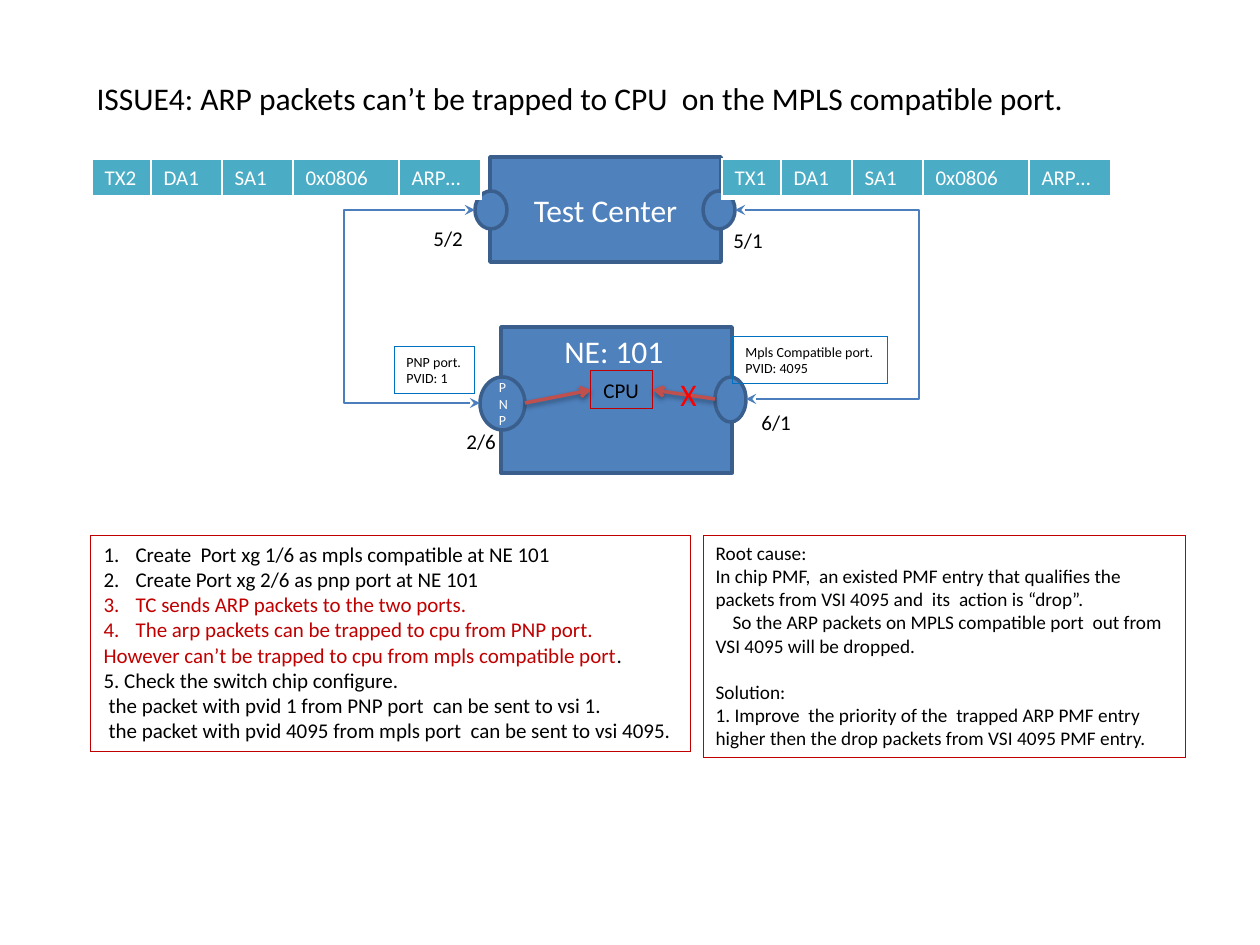
from dataclasses import dataclass

from lxml import etree
from pptx import Presentation
from pptx import util as u
from pptx.dml.color import RGBColor
from pptx.enum import shapes, text
from pptx.oxml.ns import qn

PX = 914400 / 126
FONT = "Calibri"
BLACK, WHITE, RED = "000000", "FFFFFF", "C00000"
BLUE, EDGE, WIRE, TEAL = "4F81BD", "3A5F8C", "4B7EBC", "4BACC6"
TRAP, NOTE = "C0504D", "0070C0"
COLUMNS = (59, 71, 71, 106, 82)


@dataclass
class Line:
    """One paragraph; left, first and before are px, px and points."""
    words: str
    colour: str = BLACK
    ending: str = ""
    numbered: bool = False
    left: int = 0
    first: int = 0
    before: float = 0


@dataclass
class Node:
    shape: shapes.MSO_SHAPE
    at: tuple
    words: str = ""
    size: int = 18


@dataclass
class Label:
    at: tuple
    words: tuple
    size: int = 12
    colour: str = BLACK
    edge: str = ""
    wrap: bool = False


def px(length: float) -> int:
    return u.Emu(round(length * PX))


def rgb(colour: str) -> RGBColor:
    return RGBColor.from_string(colour)


def child(parent, tag: str, **attributes):
    return etree.SubElement(parent, qn(tag), attributes)


def place(shape, at: tuple) -> None:
    shape.left, shape.top, shape.width, shape.height = map(px, at)


def outline(shape, colour: str, width: float = 0) -> None:
    """Colour the outline; without a width it keeps the default thin line."""
    shape.line.color.rgb = rgb(colour)
    if width:
        shape.line.width = u.Pt(width)


def write(frame, lines, size=12, align=text.PP_ALIGN.LEFT,
          anchor=text.MSO_ANCHOR.TOP, wrap=True, grow=False) -> None:
    frame.word_wrap = wrap
    frame.vertical_anchor = anchor
    frame.auto_size = (text.MSO_AUTO_SIZE.SHAPE_TO_FIT_TEXT if grow
                       else text.MSO_AUTO_SIZE.NONE)
    for index, line in enumerate(lines):
        para = frame.add_paragraph() if index else frame.paragraphs[0]
        para.alignment = align
        para.space_before = u.Pt(line.before)
        props = para._p.get_or_add_pPr()
        props.set("marL", str(px(line.left)))
        props.set("indent", str(px(line.first)))
        if line.numbered:
            child(props, "a:buFont", typeface="+mj-lt")
            child(props, "a:buAutoNum", type="arabicPeriod")
        else:
            child(props, "a:buNone")
        for words, colour in ((line.words, line.colour), (line.ending, BLACK)):
            if words:
                span = para.add_run()
                span.text = words
                span.font.name, span.font.size = FONT, u.Pt(size)
                span.font.bold = False
                span.font.color.rgb = rgb(colour)


def add_node(page, node: Node) -> None:
    shape = page.shapes.add_shape(node.shape, *map(px, node.at))
    shape.shadow.inherit = False
    shape.fill.solid()
    shape.fill.fore_color.rgb = rgb(BLUE)
    outline(shape, EDGE, 2)
    if node.words:
        write(shape.text_frame, [Line(node.words, WHITE)], size=node.size,
              align=text.PP_ALIGN.CENTER, anchor=text.MSO_ANCHOR.MIDDLE)


def add_label(page, label: Label) -> None:
    box = page.shapes.add_textbox(*map(px, label.at))
    if label.edge:
        outline(box, label.edge)
    write(box.text_frame, [Line(words, label.colour) for words in label.words],
          size=label.size, wrap=label.wrap, grow=True)


def add_arrow(page, kind, ends: tuple, colour: str, width: float):
    """Return the connector, its line properties and its empty effect list."""
    arrow = page.shapes.add_connector(kind, *map(px, ends))
    outline(arrow, colour, width)
    effects = child(arrow._element.spPr, "a:effectLst")
    return arrow, arrow.line._get_or_add_ln(), effects


def add_wire(page, ends: tuple, bend: int) -> None:
    """Draw a double-headed elbow whose upright lies at x = bend."""
    wire, line, _ = add_arrow(page, shapes.MSO_CONNECTOR.ELBOW, ends, WIRE, 1)
    share = round((bend - ends[0]) / (ends[2] - ends[0]) * 100000)
    guides = wire._element.spPr.find(qn("a:prstGeom")).get_or_add_avLst()
    child(guides, "a:gd", name="adj1", fmla=f"val {share}")
    child(line, "a:headEnd", type="stealth")
    child(line, "a:tailEnd", type="stealth")


def add_trap(page, ends: tuple) -> None:
    """Draw a shadowed arrow from a port to the CPU."""
    _, line, effects = add_arrow(page, shapes.MSO_CONNECTOR.STRAIGHT, ends, TRAP, 2)
    child(line, "a:tailEnd", type="arrow")
    shadow = child(effects, "a:outerShdw", blurRad=str(u.Pt(3.1)),
                   dist=str(u.Pt(1.6)), dir="5400000", rotWithShape="0")
    tint = child(shadow, "a:srgbClr", val=BLACK)
    child(tint, "a:alpha", val="38000")


def add_packet(page, left: int, top: int, name: str) -> None:
    frame = page.shapes.add_table(1, len(COLUMNS), px(left), px(top),
                                  px(sum(COLUMNS)), px(36))
    table = frame.table
    table.first_row = table.horz_banding = False
    fields = (name, "DA1", "SA1", "0x0806", "ARP…")
    for column, width, cell, field in zip(table.columns, COLUMNS,
                                          table.rows[0].cells, fields):
        column.width = px(width)
        props = cell._tc.get_or_add_tcPr()
        for side, points in (("L", 1), ("R", 1), ("T", 1), ("B", 3)):
            border = child(props, f"a:ln{side}", w=str(u.Pt(points)))
            child(child(border, "a:solidFill"), "a:srgbClr", val=WHITE)
        cell.fill.solid()
        cell.fill.fore_color.rgb = rgb(TEAL)
        write(cell.text_frame, [Line(field, WHITE)])


def numbered(words: str, colour: str = BLACK) -> Line:
    return Line(words, colour, numbered=True, left=32, first=-32)


RECT, OVAL = shapes.MSO_SHAPE.RECTANGLE, shapes.MSO_SHAPE.OVAL
NODES = (
    Node(RECT, (501, 327, 231, 146)),
    Node(OVAL, (480, 377, 45, 53), "PNP", 8),
    Node(OVAL, (715, 377, 31, 45)),
    Node(RECT, (490, 157, 231, 105), "Test Center"),
    Node(OVAL, (703, 191, 32, 38)),
    Node(OVAL, (475, 191, 32, 38)),
)
LABELS = (
    Label((454, 422, 55, 38), ("2/6",)),
    Label((749, 403, 55, 38), ("6/1",)),
    Label((721, 221, 55, 38), ("5/1",)),
    Label((421, 219, 55, 38), ("5/2",)),
    Label((552, 326, 126, 50), ("NE: 101",), 18, WHITE),
    Label((591, 371, 62, 38), ("CPU",), edge=RED),
    Label((733, 337, 155, 47), ("Mpls Compatible port.", "PVID: 4095"), 8, edge=NOTE),
    Label((394, 347, 81, 47), ("PNP port.", "PVID: 1"), 8, edge=NOTE),
    Label((668, 369, 64, 50), ("X",), 18, "FF0000", wrap=True),
)
STEPS = (
    numbered("Create  Port xg 1/6 as mpls compatible at NE 101"),
    numbered("Create Port xg 2/6 as pnp port at NE 101"),
    numbered("TC sends ARP packets to the two ports.", RED),
    numbered("The arp packets can be trapped to cpu from PNP port.", RED),
    Line("However can’t be trapped to cpu from mpls compatible port", RED, "."),
    Line("5. Check the switch chip configure."),
    Line("the packet with pvid 1 from PNP port  can be sent to vsi 1.", left=5),
    Line("the packet with pvid 4095 from mpls port  can be sent to vsi 4095.", left=5),
)
FINDINGS = (
    Line("Root cause:"),
    Line("In chip PMF,  an existed PMF entry that qualifies the packets from "
         "VSI 4095 and  its  action is “drop”."),
    Line("So the ARP packets on MPLS compatible port  out from VSI 4095 "
         "will be dropped.", first=17),
    Line("Solution:", before=13.4),
    Line("1. Improve  the priority of the  trapped ARP PMF entry higher then "
         "the drop packets from VSI 4095 PMF entry."),
)


def main() -> None:
    deck = Presentation()
    deck.slide_width, deck.slide_height = px(1260), px(945)
    page = deck.slides.add_slide(deck.slide_layouts[3])
    title, steps, findings = list(page.placeholders)[:3]
    place(title, (84, 73, 1071, 50))
    write(title.text_frame, [Line("ISSUE4: ARP packets can’t be trapped to CPU  "
                                  "on the MPLS compatible port.")], size=18)
    for box, at, lines, size in ((steps, (91, 535, 600, 217), STEPS, 12),
                                 (findings, (703, 535, 483, 223), FINDINGS, 11)):
        place(box, at)
        outline(box, RED)
        write(box.text_frame, lines, size=size)

    for node in NODES:
        add_node(page, node)
    add_wire(page, (735, 210, 746, 399), bend=919)
    add_wire(page, (475, 210, 480, 403), bend=344)
    add_packet(page, 722, 159, "TX1")
    add_packet(page, 92, 159, "TX2")
    add_trap(page, (715, 399, 653, 390))
    add_trap(page, (525, 403, 591, 390))
    for label in LABELS:
        add_label(page, label)
    deck.save("out.pptx")


if __name__ == "__main__":
    main()
